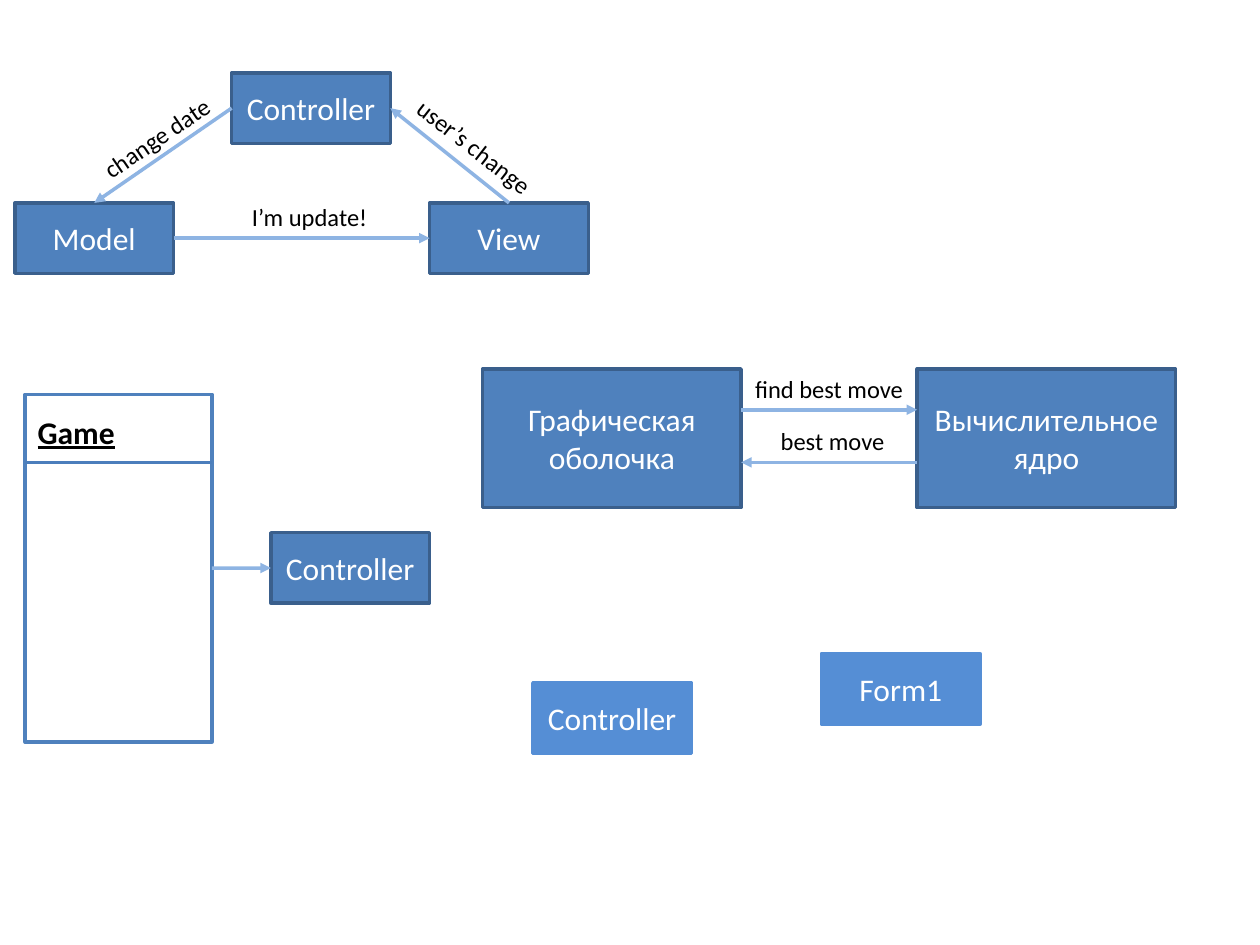
from pptx import Presentation
from pptx.dml.color import RGBColor
from pptx.enum.shapes import MSO_CONNECTOR, MSO_SHAPE
from pptx.enum.text import MSO_ANCHOR, PP_ALIGN
from pptx.oxml.ns import qn
from pptx.util import Cm, Pt
from lxml.etree import SubElement

COLORS = {
    "box": "4F81BD", "edge": "3A5F8C", "form": "558ED5", "arrow": "8EB4E3",
    "divider": "4B7EBC", "white": "FFFFFF", "black": "000000",
}
TOP, LEFT, RIGHT = 0, 1, 3  # connection sites of a process box
SMALL, LARGE = (3.2, 1.42), (5.21, 2.79)

presentation = Presentation()
presentation.slide_width, presentation.slide_height = Cm(25.4), Cm(19.05)
slide = presentation.slides.add_slide(presentation.slide_layouts[6])


def write(frame, text, size, color, align):
    """Put one run of text into a frame and return the run's font."""
    paragraph = frame.paragraphs[0]
    paragraph.alignment = align
    run = paragraph.add_run()
    run.text = text
    run.font.name, run.font.size = "Calibri", Pt(size)
    run.font.color.rgb = RGBColor.from_string(COLORS[color])
    return run.font


def add_line(start, end, color, width, arrow=True):
    """Draw a straight line, with an arrowhead at its end if wanted."""
    line = slide.shapes.add_connector(
        MSO_CONNECTOR.STRAIGHT, *(Cm(v) for v in start + end))
    line.line.color.rgb = RGBColor.from_string(COLORS[color])
    line.line.width = Pt(width)
    if arrow:
        SubElement(line.line._get_or_add_ln(), qn("a:tailEnd"), type="triangle")
    SubElement(line._element.spPr, qn("a:effectLst"))
    return line


# Process boxes
boxes = {}
for part, text, position, size, fill, edge in [
    ("view", "View", (8.66, 4.09), SMALL, "box", "edge"),
    ("controller", "Controller", (4.67, 1.47), SMALL, "box", "edge"),
    ("model", "Model", (0.3, 4.09), SMALL, "box", "edge"),
    ("form", "Form1", (16.56, 13.18), SMALL, "form", "form"),
    ("form controller", "Controller", (10.74, 13.77), SMALL, "form", "form"),
    ("game controller", "Controller", (5.46, 10.74), SMALL, "box", "edge"),
    ("game", "Game", (0.51, 7.95), (3.76, 7.01), "white", "box"),
    ("core", "Вычислительное ядро", (18.49, 7.44), LARGE, "box", "edge"),
    ("shell", "Графическая оболочка", (9.73, 7.44), LARGE, "box", "edge"),
]:
    box = slide.shapes.add_shape(
        MSO_SHAPE.FLOWCHART_PROCESS, *(Cm(v) for v in position + size))
    box.shadow.inherit = False
    box.fill.solid()
    box.fill.fore_color.rgb = RGBColor.from_string(COLORS[fill])
    box.line.color.rgb = RGBColor.from_string(COLORS[edge])
    box.line.width = Pt(2)
    frame = box.text_frame
    frame.word_wrap = True
    if part == "game":
        frame.vertical_anchor = MSO_ANCHOR.TOP
        frame.margin_top = Cm(0.37)
        title = write(frame, text, 18, "black", PP_ALIGN.LEFT)
        title.bold = title.underline = True
    else:
        frame.vertical_anchor = MSO_ANCHOR.MIDDLE
        write(frame, text, 18, "white", PP_ALIGN.CENTER)
    boxes[part] = box

# Arrows glued to the boxes
for source, source_site, target, target_site in [
    ("model", RIGHT, "view", LEFT),
    ("view", TOP, "controller", RIGHT),
    ("controller", LEFT, "model", TOP),
    ("game", RIGHT, "game controller", LEFT),
]:
    arrow = add_line((0, 0), (1, 1), "arrow", 2)
    arrow.begin_connect(boxes[source], source_site)
    arrow.end_connect(boxes[target], target_site)

# Request and reply between shell and core, and the rule under the Game title
add_line((14.94, 8.26), (18.49, 8.26), "arrow", 2)
add_line((18.49, 9.32), (14.94, 9.32), "arrow", 2)
add_line((0.51, 9.32), (4.27, 9.32), "divider", 1.5, arrow=False)

# Arrow labels
for text, left, top, width, rotation, wrap, align in [
    ("I’m update!", 4.83, 3.94, 2.84, 0, False, PP_ALIGN.LEFT),
    ("user’s change", 7.9, 2.64, 3.61, 37.8, True, PP_ALIGN.LEFT),
    ("change date", 1.68, 2.34, 3, 325.8, False, PP_ALIGN.LEFT),
    ("find best move", 14.95, 7.42, 3.53, 0, False, PP_ALIGN.CENTER),
    ("best move", 15.06, 8.46, 3.45, 0, True, PP_ALIGN.CENTER),
]:
    label = slide.shapes.add_textbox(Cm(left), Cm(top), Cm(width), Cm(0.86))
    label.rotation = rotation
    label.text_frame.word_wrap = wrap
    write(label.text_frame, text, 14, "black", align)

presentation.save("out.pptx")
